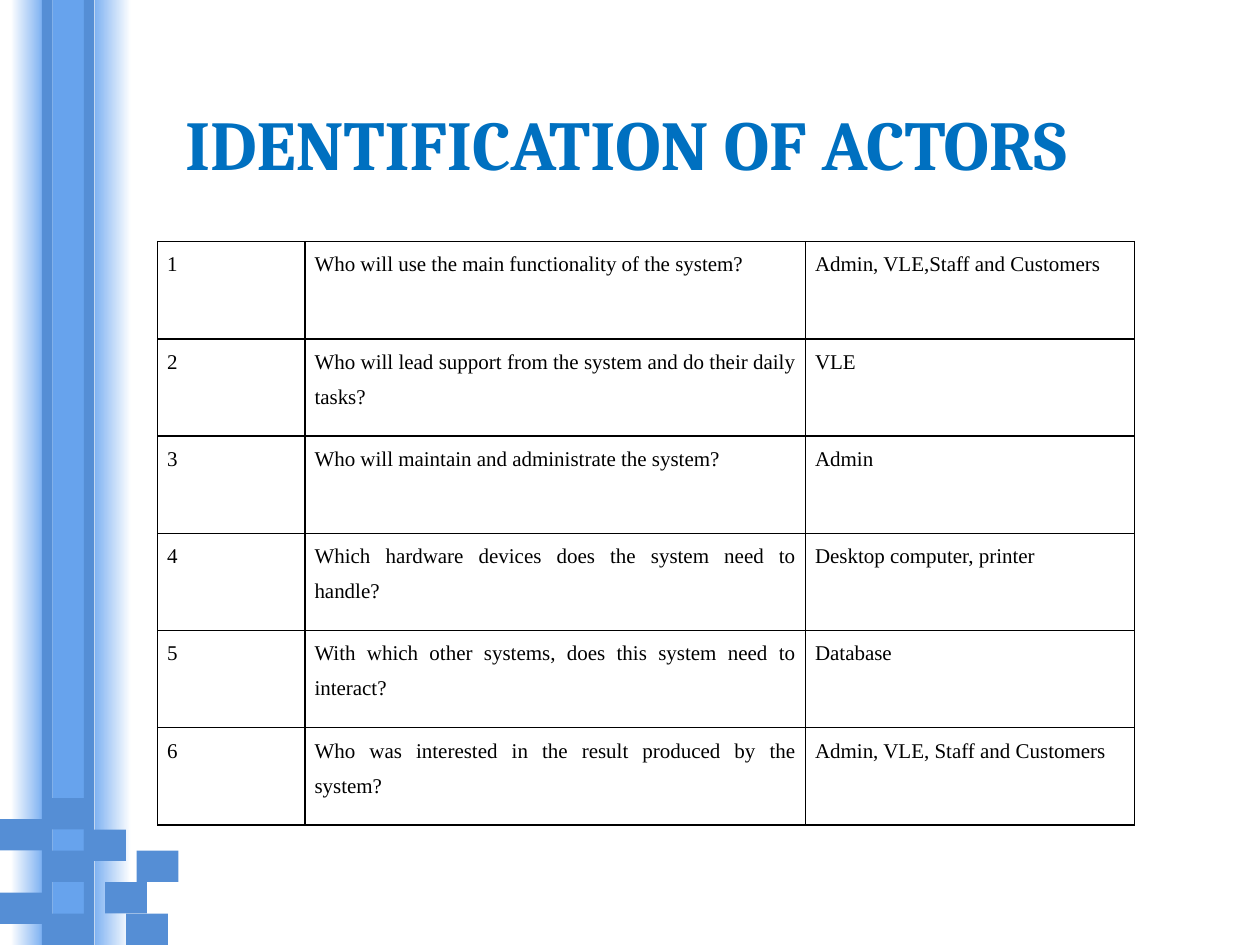
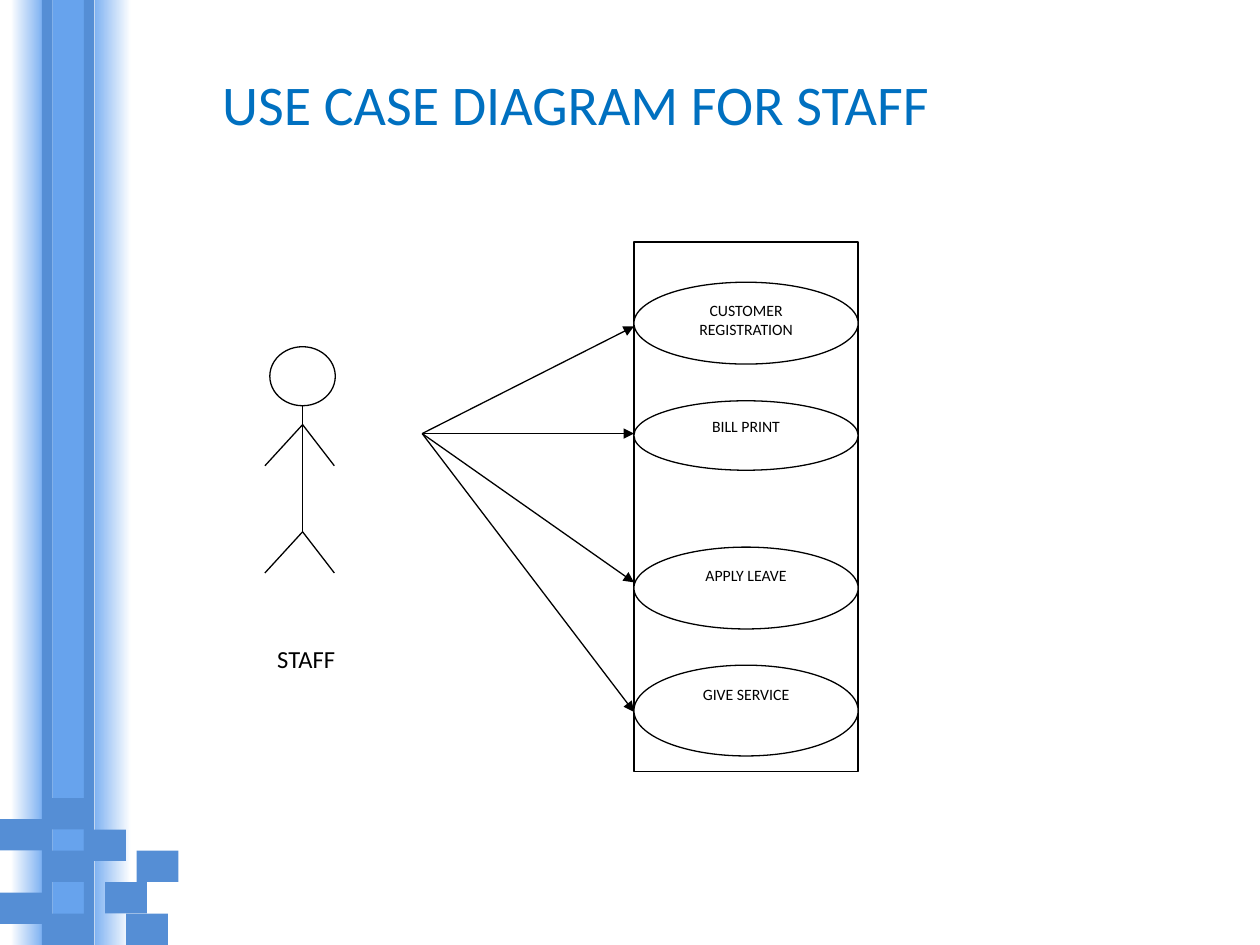
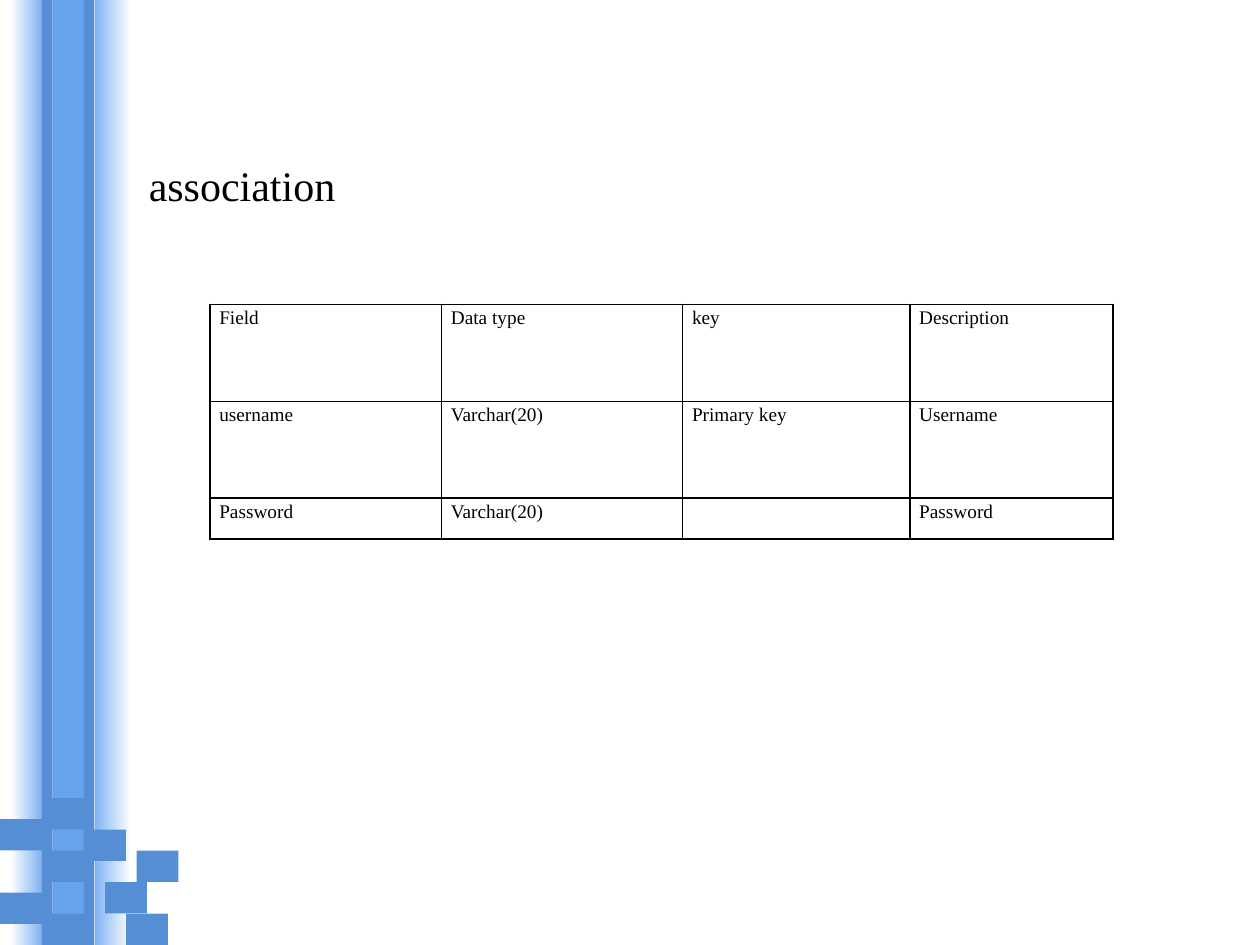
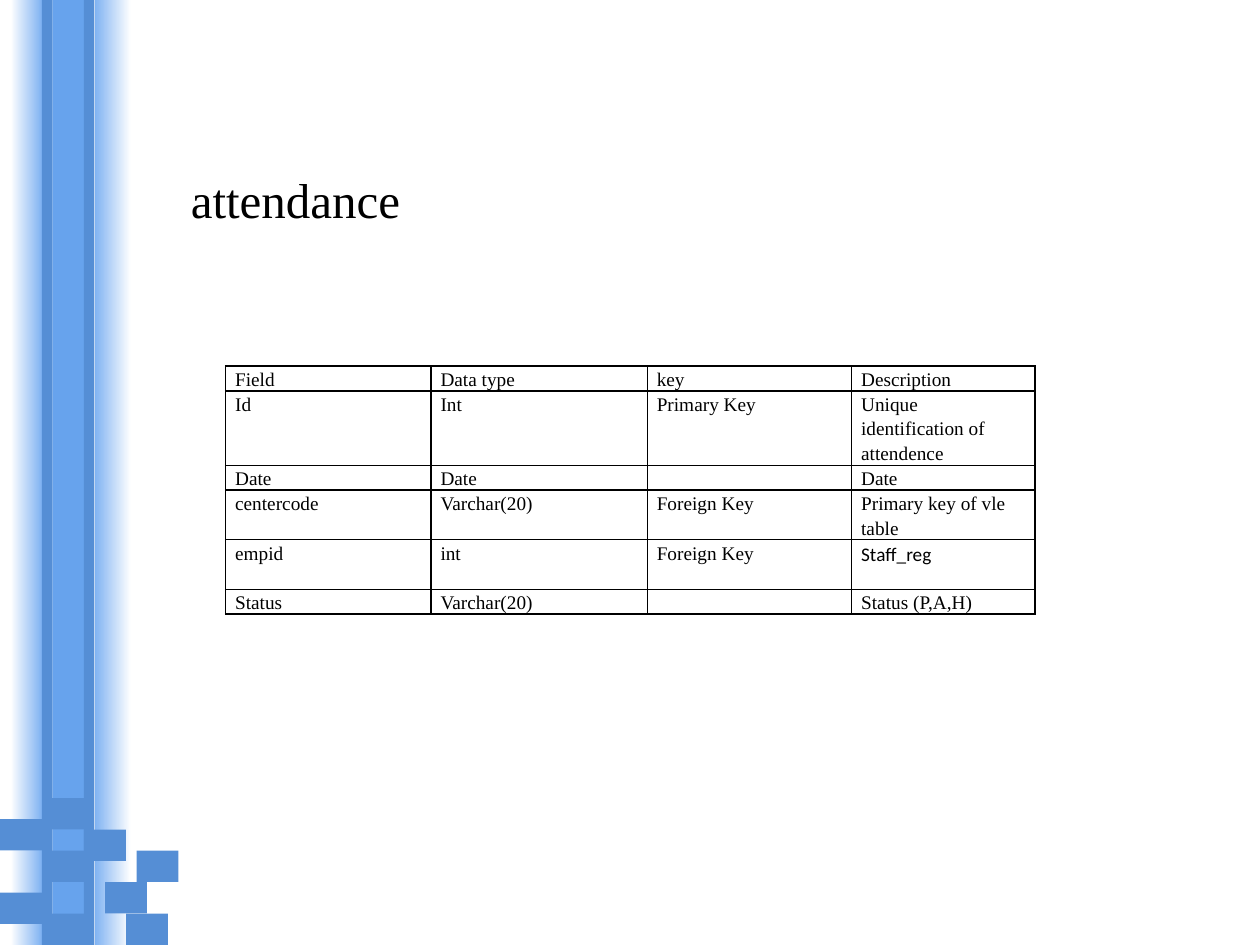
from lxml import etree
from pptx import Presentation
from pptx.dml.color import RGBColor
from pptx.enum.shapes import MSO_CONNECTOR, MSO_SHAPE
from pptx.enum.text import MSO_ANCHOR, PP_ALIGN
from pptx.oxml.ns import qn
from pptx.util import Cm, Pt

RECT, OVAL = MSO_SHAPE.RECTANGLE, MSO_SHAPE.OVAL
STRAIGHT = MSO_CONNECTOR.STRAIGHT
TOP = MSO_ANCHOR.TOP
LEFT, CENTER, JUSTIFY = PP_ALIGN.LEFT, PP_ALIGN.CENTER, PP_ALIGN.JUSTIFY

BLACK = RGBColor(0x00, 0x00, 0x00)
WHITE = RGBColor(0xFF, 0xFF, 0xFF)
TITLE_BLUE = RGBColor(0x00, 0x70, 0xC0)
BLOCK_BLUE = RGBColor(0x55, 0x8E, 0xD5)
BAND_BLUE = RGBColor(0x67, 0xA3, 0xED)
EDGE_BLUE = RGBColor(0x7F, 0xB2, 0xF2)

SERIF, SANS, HEADING = "Times New Roman", "Calibri", "Cambria"
WIDTH, HEIGHT = 25.4, 19.05
UNIT = WIDTH / 120
RAILS = [4, 8]
BLOCKS = [(0, 78), (4, 76), (8, 79), (4, 81), (0, 85),
          (13, 81), (12, 87), (4, 87), (10, 84)]

ACTORS = [
    ["1", "Who will use the main functionality of the system?",
     "Admin, VLE,Staff and Customers"],
    ["2", "Who will lead support from the system and do their daily tasks?", "VLE"],
    ["3", "Who will maintain and administrate the system?", "Admin"],
    ["4", "Which hardware devices does the system need to handle?",
     "Desktop computer, printer"],
    ["5", "With which other systems, does this system need to interact?", "Database"],
    ["6", "Who was interested in the result produced by the system?",
     "Admin, VLE, Staff and Customers"],
]
FIELD_HEADER = ["Field", "Data type", "key", "Description"]
ASSOCIATION = [
    FIELD_HEADER,
    ["username", "Varchar(20)", "Primary key", "Username"],
    ["Password", "Varchar(20)", "", "Password"],
]
ATTENDANCE = [
    FIELD_HEADER,
    ["Id", "Int", "Primary Key", "Unique identification of attendence"],
    ["Date", "Date", "", "Date"],
    ["centercode", "Varchar(20)", "Foreign Key", "Primary key of vle table"],
    ["empid", "int", "Foreign Key", "Staff_reg"],
    ["Status", "Varchar(20)", "", "Status (P,A,H)"],
]
USE_CASES = [
    ("CUSTOMER REGISTRATION", 0.81, 1.65, 1.7),
    ("BILL PRINT", 3.2, 1.4, 3.86),
    ("APPLY LEAVE", 6.15, 1.65, 6.86),
    ("GIVE SERVICE", 8.53, 1.83, 9.47),
]


def write(tf, text, size=11, font=SERIF, color=BLACK, bold=False,
          align=LEFT, spacing=None, after=0):
    p = tf.paragraphs[0]
    p.alignment = align
    p.space_after = Pt(after)
    if spacing:
        p.line_spacing = spacing
    if not text:
        etree.SubElement(p._p, qn("a:endParaRPr"), sz=str(size * 100))
        return
    r = p.add_run()
    r.text = text
    r.font.size = Pt(size)
    r.font.name = font
    r.font.bold = bold
    r.font.color.rgb = color


def add_text(slide, box, text, top=0.13, right=0.25, **style):
    tf = slide.shapes.add_textbox(*map(Cm, box)).text_frame
    tf.word_wrap = True
    tf.vertical_anchor = TOP
    tf.margin_top, tf.margin_right = Cm(top), Cm(right)
    write(tf, text, **style)


def add_box(slide, kind, x, y, w, h, fill=WHITE, line=None):
    sp = slide.shapes.add_shape(kind, Cm(x), Cm(y), Cm(w), Cm(h))
    sp.shadow.inherit = False
    sp.fill.solid()
    sp.fill.fore_color.rgb = fill
    if line is None:
        sp.line.fill.background()
    else:
        sp.line.color.rgb = line
        sp.line.width = Pt(0.75)
    sp.text_frame.vertical_anchor = TOP
    return sp


def add_line(slide, x1, y1, x2, y2, arrow=False):
    c = slide.shapes.add_connector(STRAIGHT, Cm(x1), Cm(y1), Cm(x2), Cm(y2))
    c.line.color.rgb = BLACK
    c.line.width = Pt(0.75)
    if arrow:
        etree.SubElement(c.line._get_or_add_ln(), qn("a:tailEnd"), type="triangle")
    etree.SubElement(c._element.spPr, qn("a:effectLst"))


def add_fade(slide, x, w, start, end):
    sp = add_box(slide, RECT, x, 0, w, HEIGHT)
    sp.fill.gradient()
    sp.fill.gradient_angle = 0
    for stop, color in zip(sp.fill.gradient_stops, (start, end)):
        stop.color.rgb = color


def add_side_band(slide):
    add_fade(slide, UNIT, 3 * UNIT, WHITE, EDGE_BLUE)
    add_box(slide, RECT, 5 * UNIT, 0, 3 * UNIT, HEIGHT, BAND_BLUE)
    add_fade(slide, 9 * UNIT, 3.5 * UNIT, EDGE_BLUE, WHITE)
    for col in RAILS:
        add_box(slide, RECT, col * UNIT, 0, UNIT, HEIGHT, BLOCK_BLUE)
    for col, row in BLOCKS:
        add_box(slide, RECT, col * UNIT, row * UNIT, 4 * UNIT, 3 * UNIT, BLOCK_BLUE)


def add_borders(cell):
    tc_pr = cell._tc.get_or_add_tcPr()
    for side in ("lnL", "lnR", "lnT", "lnB"):
        ln = etree.SubElement(tc_pr, qn(f"a:{side}"), w=str(Pt(1)))
        solid = etree.SubElement(ln, qn("a:solidFill"))
        etree.SubElement(solid, qn("a:srgbClr"), val=str(BLACK))


def add_grid(slide, x, y, rows, widths, heights, fonts=None, **style):
    frame = slide.shapes.add_table(len(rows), len(widths), Cm(x), Cm(y),
                                   Cm(sum(widths)), Cm(sum(heights)))
    table = frame.table
    table.first_row = table.horz_banding = False
    for col, w in zip(table.columns, widths):
        col.width = Cm(w)
    for row, h, texts in zip(table.rows, heights, rows):
        row.height = Cm(h)
        for cell, text in zip(row.cells, texts):
            cell.margin_left = cell.margin_right = Cm(0.19)
            cell.margin_top = cell.margin_bottom = 0
            add_borders(cell)
            cell.fill.solid()
            cell.fill.fore_color.rgb = WHITE
            write(cell.text_frame, text, font=(fonts or {}).get(text, SERIF), **style)


def add_actor(slide, x, y, name):
    mid, neck, shoulder, hip = x + 1.65, y + 1.19, y + 1.57, y + 3.73
    add_box(slide, OVAL, x + 0.99, y, 1.32, 1.19, line=BLACK)
    add_line(slide, mid, neck, mid, hip)
    for joint in (shoulder, hip):
        for end in (0.89, 2.29):
            add_line(slide, mid, joint, x + end, joint + 0.83)
    label = add_box(slide, RECT, x, y + 5.87, 4.06, 1.3, line=WHITE)
    label.text_frame.margin_left = Cm(1.14)
    write(label.text_frame, name, size=14, font=SANS, after=10)


def add_use_cases(slide, x, y):
    w, h = 4.52, 10.67
    left = x + 8.33
    add_actor(slide, x, y + 2.11, "STAFF")
    add_box(slide, RECT, left, y, w, h, line=BLACK)
    for text, top, height, target in USE_CASES:
        oval = add_box(slide, OVAL, left, y + top, w, height, line=BLACK)
        write(oval.text_frame, text, size=9, font=SANS, align=CENTER, after=10)
        add_line(slide, x + 4.06, y + 3.86, left, y + target, arrow=True)


def new_slide(prs):
    slide = prs.slides.add_slide(prs.slide_layouts[6])
    add_side_band(slide)
    return slide


def actors_slide(prs):
    slide = new_slide(prs)
    add_text(slide, (1.47, 2.03, 22.86, 3.18), "IDENTIFICATION OF ACTORS", top=0,
             right=0.81, size=40, font=HEADING, color=TITLE_BLUE, bold=True,
             align=CENTER)
    add_grid(slide, 3.18, 4.87, ACTORS, [2.97, 10.09, 6.63], [1.96] * len(ACTORS),
             size=12, align=JUSTIFY, spacing=1.5)


def use_case_slide(prs):
    slide = new_slide(prs)
    add_text(slide, (4.23, 1.27, 20.75, 3.18), "USE CASE DIAGRAM FOR STAFF",
             size=32, font=SANS, color=TITLE_BLUE)
    add_use_cases(slide, 4.45, 4.88)


def association_slide(prs):
    slide = new_slide(prs)
    add_grid(slide, 4.23, 6.14, ASSOCIATION, [4.67, 4.86, 4.58, 4.1],
             [1.95, 1.95, 0.83], spacing=1.15)
    add_text(slide, (2.75, 2.97, 4.32, 2.57), "association", top=0.24, right=0, size=24)


def attendance_slide(prs):
    slide = new_slide(prs)
    line = 0.5
    add_grid(slide, 4.55, 7.38, ATTENDANCE, [4.14, 4.36, 4.12, 3.69],
             [line * n for n in (1, 3, 1, 2, 2, 1)],
             fonts={"Staff_reg": SANS}, spacing=1.15)
    add_text(slide, (3.6, 3.18, 4.78, 2.64), "attendance", top=0.24, right=0, size=28)


def main():
    prs = Presentation()
    prs.slide_width, prs.slide_height = Cm(WIDTH), Cm(HEIGHT)
    for build in (actors_slide, use_case_slide, association_slide, attendance_slide):
        build(prs)
    prs.save("out.pptx")


if __name__ == "__main__":
    main()
